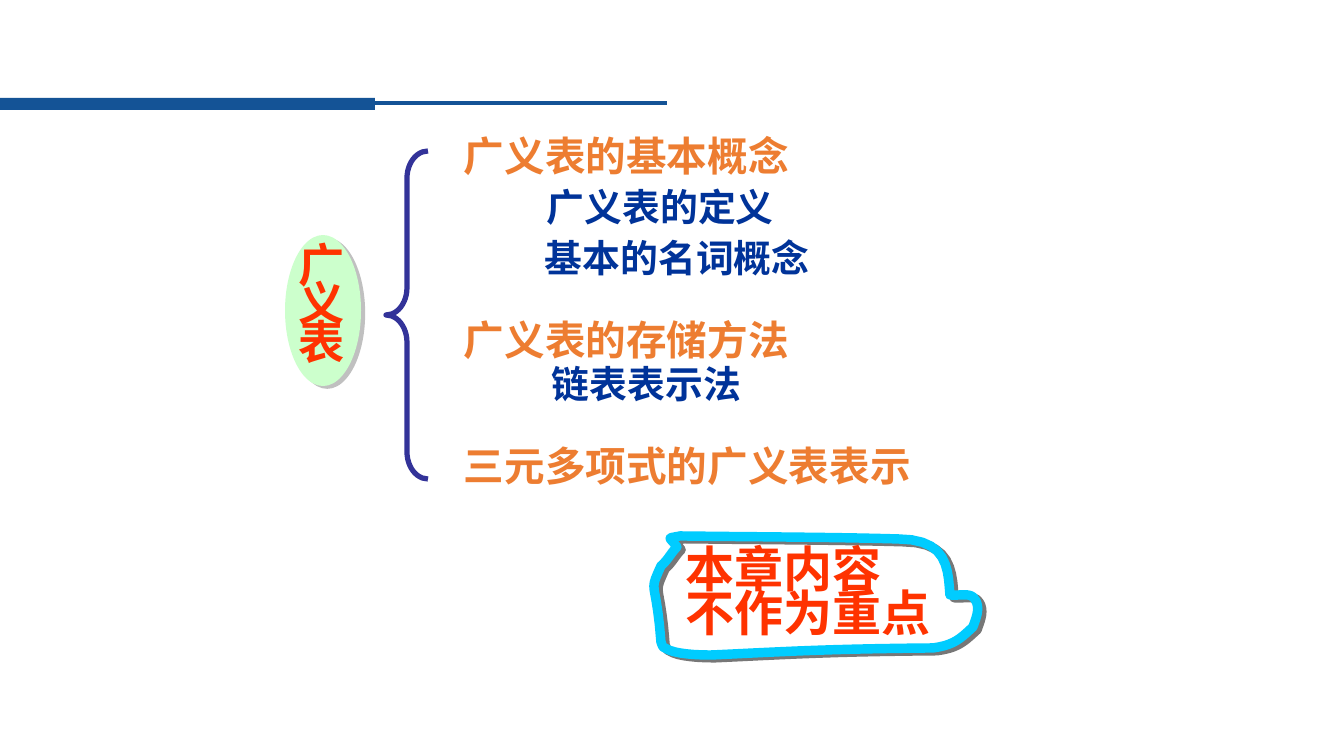
from lxml.etree import SubElement
from pptx import Presentation
from pptx.dml.color import RGBColor
from pptx.enum.shapes import MSO_CONNECTOR as Connector, MSO_SHAPE as Shape
from pptx.enum.text import MSO_AUTO_SIZE as AutoSize, MSO_ANCHOR as Anchor
from pptx.oxml.ns import qn
from pptx.util import Pt

# Content: text, (left, top, width, height) in px
TOPICS = [
    ("广义表的基本概念", (454, 126, 386, 59)),
    ("广义表的存储方法", (454, 310, 395, 59)),
    ("三元多项式的广义表表示", (454, 436, 529, 59)),
]
SUBTOPICS = [
    ("广义表的定义", (537, 179, 328, 56)),
    ("基本的名词概念", (535, 230, 370, 56)),
    ("链表表示法", (542, 356, 252, 56)),
]
CHAPTER = ("广\n义\n表", (289, 246, 69, 128))
REMARK = ("本章内容\n不作为重点", (676, 547, 340, 102))

HEADER_BAR = (0, 98, 375, 12)
HEADER_RULE = (371, 103, 667, 103)
BRACE = (386, 151, 42, 328)
CHAPTER_OVAL = (285, 235, 76, 151)

# Hand-drawn loop: start, then curves of two control points and an end
LOOP_START = (677, 547)
LOOP_CURVES = [
    ((671, 553), (668, 560), (661, 566)),
    ((648, 595), (656, 576), (661, 642)),
    ((662, 644), (662, 647), (665, 648)),
    ((676, 656), (713, 655), (713, 655)),
    ((795, 651), (830, 649), (933, 648)),
    ((955, 645), (961, 638), (973, 627)),
    ((976, 618), (982, 606), (973, 597)),
    ((968, 593), (958, 596), (950, 595)),
    ((948, 569), (948, 539), (898, 539)),
    ((826, 537), (753, 537), (680, 536)),
    ((666, 539), (669, 536), (677, 547)),
]
CURVE_STEPS = 10

THEME = {
    "font": "Calibri",
    "header": "145396",
    "brace": "333399",
    "oval": "CCFFCC",
    "oval_shadow": "C0C0C0",
    "loop": "00CCFF",
    "loop_shadow": "777777",
    "text_shadow": "000000",
    "topic": {"size": 29, "color": "ED7D31"},
    "subtopic": {"size": 27, "color": "003399"},
    "chapter": {"size": 33, "color": "FF3300", "spacing": 0.7, "wrap": False, "shadow": True},
    "remark": {"size": 35, "color": "FF3300", "spacing": 0.75, "shadow": True},
}
PX = 914400 / 100.8


def emu(lengths):
    return [round(length * PX) for length in lengths]


def rgb(name):
    return RGBColor.from_string(THEME[name])


def add_shadow(properties, color, distance=3.6, angle=34):
    effects = properties.find(qn("a:effectLst"))
    if effects is None:
        effects = SubElement(properties, qn("a:effectLst"))
    outer = SubElement(effects, qn("a:outerShdw"), dist=str(Pt(distance)),
                       dir=str(angle * 60000), algn="ctr", rotWithShape="0")
    SubElement(outer, qn("a:srgbClr"), val=THEME[color])


def paint(shape, fill=None, line=None, width=0, shadow=None):
    shape.shadow.inherit = False
    if fill:
        shape.fill.solid()
        shape.fill.fore_color.rgb = rgb(fill)
    else:
        shape.fill.background()
    if line:
        shape.line.color.rgb = rgb(line)
        shape.line.width = Pt(width)
    else:
        shape.line.fill.background()
    if shadow:
        add_shadow(shape.element.spPr, shadow)


def add_label(slide, text, box, style):
    frame = slide.shapes.add_textbox(*emu(box)).text_frame
    frame_format = {"word_wrap": style.get("wrap", True),
                    "auto_size": AutoSize.SHAPE_TO_FIT_TEXT,
                    "vertical_anchor": Anchor.TOP}
    for key, value in frame_format.items():
        setattr(frame, key, value)
    frame.text = text
    font_format = {"name": THEME["font"], "size": Pt(style["size"]), "bold": True}
    for paragraph in frame.paragraphs:
        paragraph.line_spacing = style.get("spacing")
        for run in paragraph.runs:
            run.font.color.rgb = RGBColor.from_string(style["color"])
            if style.get("shadow"):
                add_shadow(run.font._element, "text_shadow", 1.5, 45)
            for key, value in font_format.items():
                setattr(run.font, key, value)


def loop_points():
    start = LOOP_START
    for first, second, end in LOOP_CURVES:
        for step in range(1, CURVE_STEPS + 1):
            t = step / CURVE_STEPS
            weights = ((1 - t) ** 3, 3 * t * (1 - t) ** 2, 3 * t * t * (1 - t), t ** 3)
            corners = (start, first, second, end)
            yield tuple(sum(w * c[axis] for w, c in zip(weights, corners)) * PX
                        for axis in (0, 1))
        start = end


def main():
    deck = Presentation()
    deck.slide_width, deck.slide_height = emu((1344, 756))
    slide = deck.slides.add_slide(deck.slide_layouts[6])
    shapes = slide.shapes

    # Header bar and rule
    paint(shapes.add_shape(Shape.RECTANGLE, *emu(HEADER_BAR)), fill="header")
    rule = shapes.add_connector(Connector.STRAIGHT, *emu(HEADER_RULE))
    rule.line.color.rgb = rgb("header")
    rule.line.width = Pt(2.25)
    SubElement(rule.element.spPr, qn("a:effectLst"))

    # Outline of topics
    for labels, style in ((TOPICS, "topic"), (SUBTOPICS, "subtopic")):
        for text, box in labels:
            add_label(slide, text, box, THEME[style])

    # Brace and chapter name
    brace = shapes.add_shape(Shape.LEFT_BRACE, *emu(BRACE))
    brace.adjustments[0] = 0.65
    brace.adjustments[1] = 0.5
    paint(brace, line="brace", width=3.75)
    paint(shapes.add_shape(Shape.OVAL, *emu(CHAPTER_OVAL)), fill="oval", shadow="oval_shadow")
    add_label(slide, *CHAPTER, THEME["chapter"])

    # Circled remark
    builder = shapes.build_freeform(*emu(LOOP_START))
    builder.add_line_segments(loop_points(), close=True)
    paint(builder.convert_to_shape(), line="loop", width=6.75, shadow="loop_shadow")
    add_label(slide, *REMARK, THEME["remark"])

    deck.save("out.pptx")


if __name__ == "__main__":
    main()
